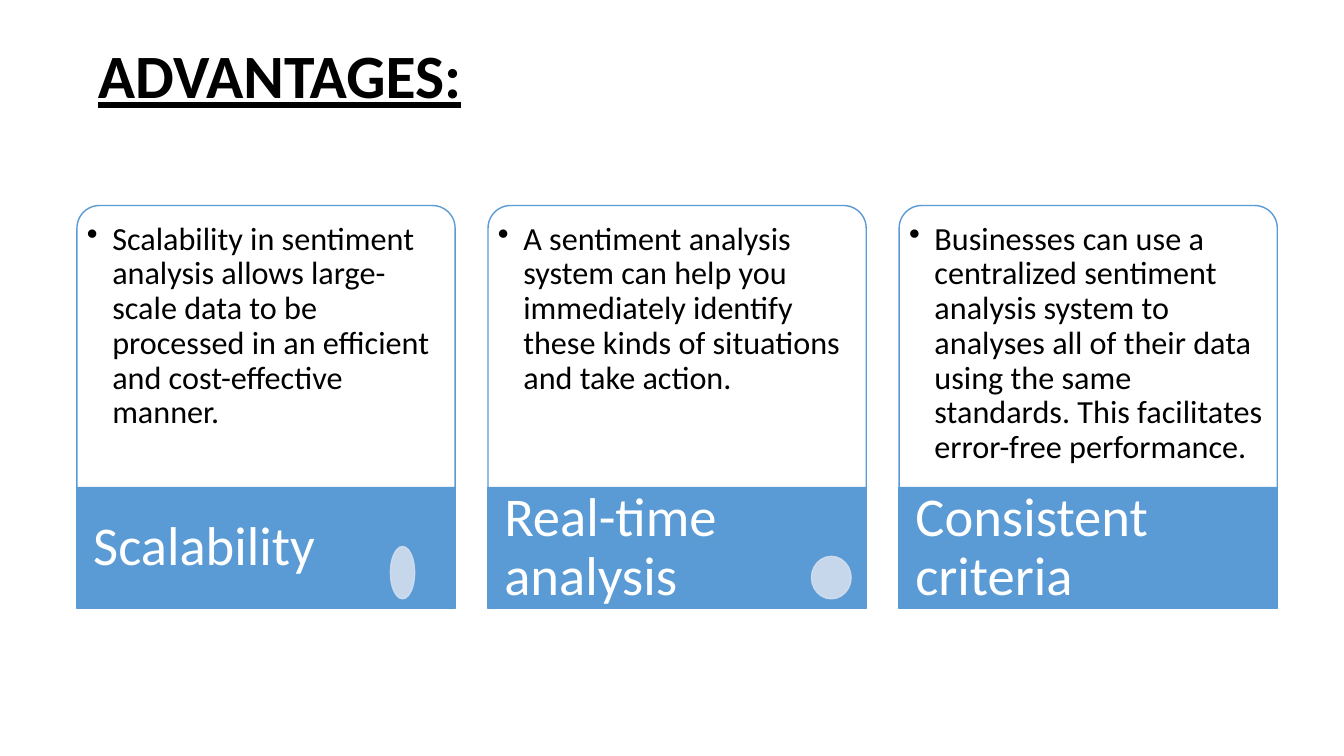
from dataclasses import dataclass

from lxml import etree
from pptx import Presentation
from pptx.dml.color import RGBColor
from pptx.enum.shapes import MSO_SHAPE
from pptx.enum.text import MSO_ANCHOR, MSO_AUTO_SIZE, PP_ALIGN
from pptx.oxml.ns import qn
from pptx.util import Cm, Pt

TITLE = "ADVANTAGES:"

# heading, description, dot (offset from card left, top, width, height in cm)
CARDS = [
    ("Scalability",
     "Scalability in sentiment analysis allows large-scale data to be "
     "processed in an efficient and cost-effective manner.",
     (7.9, 13.77, 0.61, 1.32)),
    ("Real-time analysis",
     "A sentiment analysis system can help you immediately identify these "
     "kinds of situations and take action.",
     (8.15, 14.02, 1.0, 1.07)),
    ("Consistent criteria",
     "Businesses can use a centralized sentiment analysis system to analyses "
     "all of their data using the same standards. This facilitates error-free "
     "performance.",
     None),
]


@dataclass(frozen=True)
class Theme:
    font: str = "Calibri"
    text: RGBColor = RGBColor(0x00, 0x00, 0x00)
    white: RGBColor = RGBColor(0xFF, 0xFF, 0xFF)
    accent: RGBColor = RGBColor(0x5B, 0x9B, 0xD5)
    dot: RGBColor = RGBColor(0xD2, 0xDE, 0xEF)
    title_size: int = 44
    heading_size: int = 39
    body_size: int = 23
    opacity: int = 90


THEME = Theme()

CARD_LEFT, CARD_TOP, CARD_W, CARD_STEP = 1.94, 5.18, 9.53, 10.36
PANEL_H, BAND_H = 7.11, 3.05
BAND_TOP = CARD_TOP + PANEL_H
HEADING_W = 6.71
PAD = 0.17
INDENT = Cm(0.64)


def set_opacity(color_format, percent):
    solid = color_format._xFill
    alpha = etree.SubElement(solid[0], qn("a:alpha"))
    alpha.set("val", str(percent * 1000))


def add_box(shapes, kind, box, fill, line, fill_opacity=100, line_opacity=100):
    sp = shapes.add_shape(kind, *map(Cm, box))
    sp.shadow.inherit = False
    sp.fill.solid()
    sp.fill.fore_color.rgb = fill
    sp.line.color.rgb = line
    sp.line.width = Pt(1)
    for color, opacity in ((sp.fill.fore_color, fill_opacity),
                           (sp.line.color, line_opacity)):
        if opacity < 100:
            set_opacity(color, opacity)
    return sp


def add_text(shapes, box, insets, text, size, color, anchor, bullet=False):
    """Insets are left, top, right, bottom in cm."""
    tf = shapes.add_textbox(*map(Cm, box)).text_frame
    tf.word_wrap = True
    tf.auto_size = MSO_AUTO_SIZE.NONE
    tf.vertical_anchor = anchor
    (tf.margin_left, tf.margin_top,
     tf.margin_right, tf.margin_bottom) = map(Cm, insets)
    p = tf.paragraphs[0]
    if bullet:
        pPr = p._p.get_or_add_pPr()
        pPr.set("marL", str(INDENT))
        pPr.set("indent", str(-INDENT))
        etree.SubElement(pPr, qn("a:buChar")).set("char", "•")
    p.alignment = PP_ALIGN.LEFT
    p.line_spacing = 0.9
    add_run(p, text, size, color)


def add_run(p, text, size, color):
    r = p.add_run()
    r.text = text
    r.font.name = THEME.font
    r.font.size = Pt(size)
    r.font.color.rgb = color
    return r


def add_title(slide):
    title = slide.shapes.title
    title.left, title.top = Cm(2.21), Cm(0.94)
    title.width, title.height = Cm(28.14), Cm(2.08)
    tf = title.text_frame
    tf.auto_size = MSO_AUTO_SIZE.NONE
    tf.vertical_anchor = MSO_ANCHOR.MIDDLE
    p = tf.paragraphs[0]
    p.alignment = PP_ALIGN.LEFT
    p.line_spacing = 0.9
    r = add_run(p, TITLE, THEME.title_size, THEME.text)
    r.font.bold = True
    r.font.underline = True


def add_card(shapes, left, heading, description, dot):
    panel = add_box(shapes, MSO_SHAPE.ROUND_2_SAME_RECTANGLE,
                    (left, CARD_TOP, CARD_W, PANEL_H),
                    THEME.white, THEME.accent, fill_opacity=THEME.opacity)
    panel.adjustments[0] = 0.08
    panel.adjustments[1] = 0
    add_text(shapes,
             (left + PAD, CARD_TOP + PAD, CARD_W - 2 * PAD, PANEL_H - PAD),
             (0.08, 0.25, 0.08, 0.08), description, THEME.body_size,
             THEME.text, MSO_ANCHOR.TOP, bullet=True)
    add_box(shapes, MSO_SHAPE.RECTANGLE, (left, BAND_TOP, CARD_W, BAND_H),
            THEME.accent, THEME.accent)
    add_text(shapes, (left, BAND_TOP, HEADING_W, BAND_H),
             (0.41, 0, 0.13, 0), heading, THEME.heading_size,
             THEME.white, MSO_ANCHOR.MIDDLE)
    if dot:
        offset, top, width, height = dot
        add_box(shapes, MSO_SHAPE.OVAL, (left + offset, top, width, height),
                THEME.dot, THEME.dot, THEME.opacity, THEME.opacity)


def main():
    prs = Presentation()
    prs.slide_width, prs.slide_height = Cm(33.87), Cm(19.05)
    slide = prs.slides.add_slide(prs.slide_layouts.get_by_name("Title Only"))
    add_title(slide)
    cards = slide.shapes.add_group_shape()
    for i, card in enumerate(CARDS):
        add_card(cards.shapes, CARD_LEFT + i * CARD_STEP, *card)
    prs.save("out.pptx")


if __name__ == "__main__":
    main()
